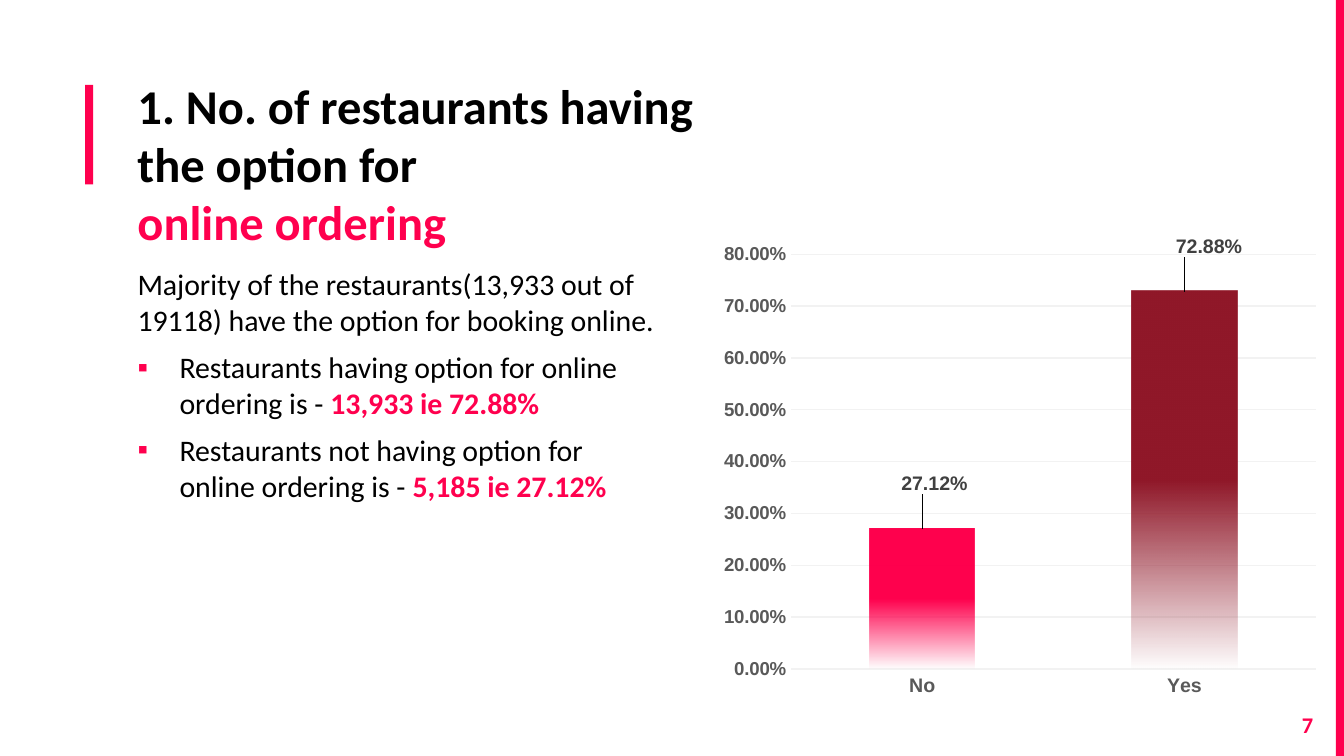
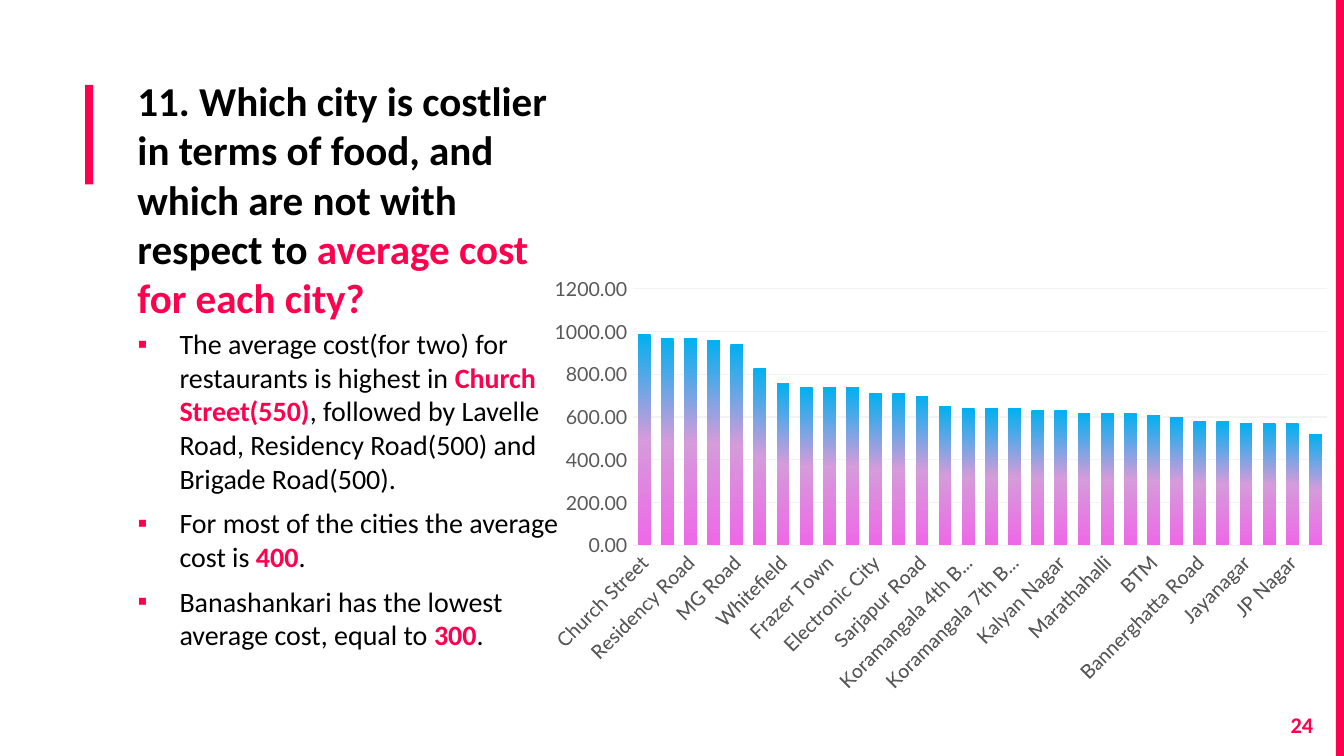
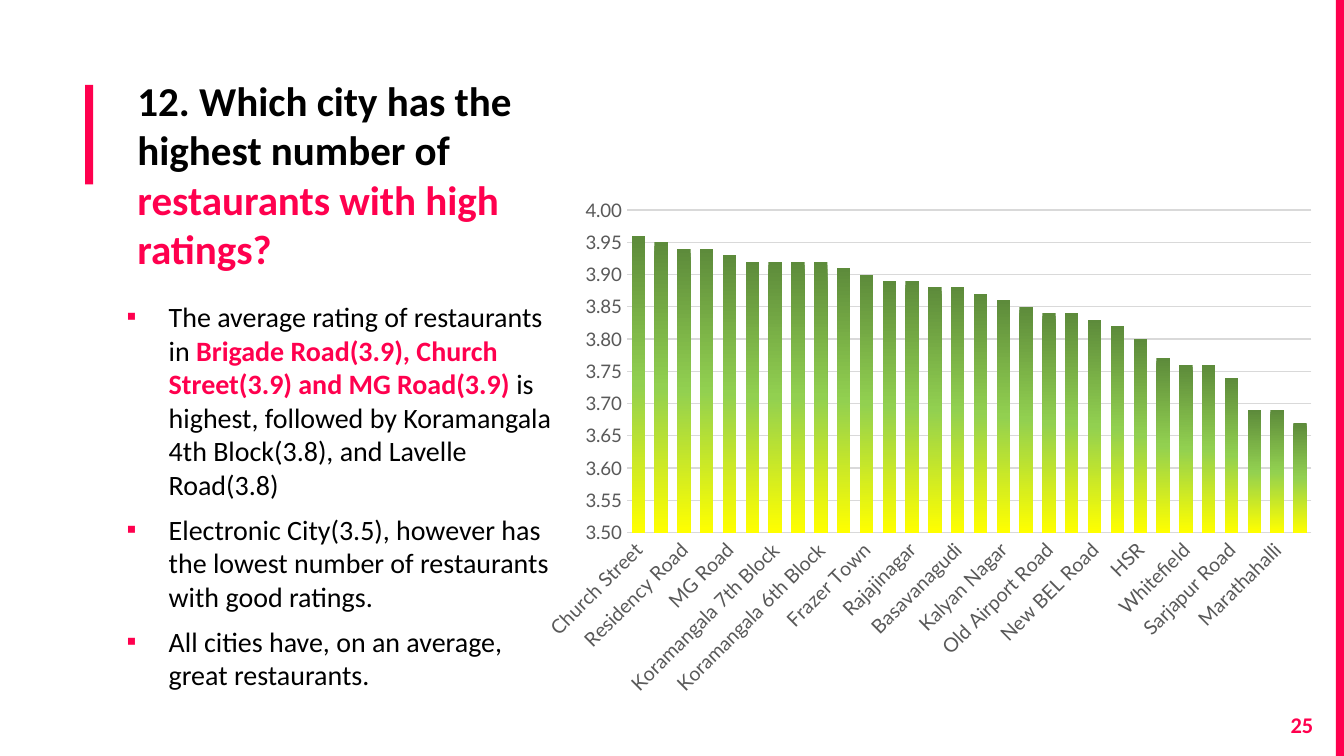
from lxml import etree
from pptx import Presentation
from pptx.chart.data import CategoryChartData
from pptx.dml.color import RGBColor
from pptx.enum.chart import XL_CHART_TYPE, XL_LABEL_POSITION, XL_TICK_MARK
from pptx.enum.shapes import MSO_SHAPE
from pptx.enum.text import MSO_ANCHOR, PP_ALIGN
from pptx.oxml.ns import qn
from pptx.util import Pt

COLUMNS = XL_CHART_TYPE.COLUMN_CLUSTERED
OUTSIDE = XL_LABEL_POSITION.OUTSIDE_END
NO_TICK = XL_TICK_MARK.NONE
RECTANGLE = MSO_SHAPE.RECTANGLE
TOP = MSO_ANCHOR.TOP
LEFT, RIGHT = PP_ALIGN.LEFT, PP_ALIGN.RIGHT

WIDTH, HEIGHT = 720, 405
ACCENT, INK, AXIS_GREY, LABEL_GREY = "FF004E", "000000", "595959", "404040"
FONT, BULLET_FONT = "Calibri", "Arial"
INSET = 7.2
BULLET_INDENT = 22.5
TITLE_BAR = (45.6, 45.5, 4.3, 53.3)
EDGE_BAND = (WIDTH - 4.3, 0, 4.3, HEIGHT)
NUMBER_BOX = (667.4, 373.7, 43.2, 31)
LEADER_URI = "{CE6537A1-D6FC-4f65-9D91-7224C49458BB}"
LEADER_SPACE = "http://schemas.microsoft.com/office/drawing/2012/chart"

SHARE_OPTIONS = dict(
    font="Arial", bold=True, gap=150, sizes=(10.5, 10), scale=(0, 0.8, 0.1),
    format="0.00%", grid="F2F2F2", plot_box=(42.2, 10.2, 281, 222.2),
    gradients=[[(50, ACCENT, 100), (100, ACCENT, 0)],
               [(50, "901829", 100), (100, "901829", 0)]],
    label_shifts=[(0.02, -0.06), (0.04, -0.06)])
COST_OPTIONS = dict(
    font="Lato", bold=False, gap=80, sizes=(10.5, 10.5), scale=(0, 1200, 200),
    format="0.00", grid="F3F3F3", rotation=-45, plot_box=(43.3, 5.2, 372.5, 138.2),
    gradients=[[(0, "00B0F0", 100), (50, "D59BDA", 100), (100, "EE68E8", 100)]])
RATING_OPTIONS = dict(
    font="Lato", bold=False, gap=70, sizes=(10.5, 10), scale=(3.5, 4, 0.05),
    format="0.00", grid="D9D9D9", rotation=-45,
    gradients=[[(0, "5D8B3B", 100), (50, "92D050", 100), (100, "FFFF00", 100)]])

SHARES = {"No": 0.2712, "Yes": 0.7288}
COSTS = {
    "Church Street": 990, "Lavelle Road": 970, "Residency Road": 970,
    "Brigade Road": 960, "MG Road": 940, "Indiranagar": 830, "Whitefield": 760,
    "Malleshwaram": 740, "Frazer Town": 740, "Old Airport Road": 740,
    "Electronic City": 710, "Bellandur": 710, "Sarjapur Road": 700,
    "Brookefield": 650, "Koramangala 4th Block": 640, "Rajajinagar": 640,
    "Koramangala 7th Block": 640, "Koramangala 5th Block": 630,
    "Kalyan Nagar": 630, "Koramangala 6th Block": 620, "Marathahalli": 620,
    "Kammanahalli": 620, "BTM": 610, "New BEL Road": 600,
    "Bannerghatta Road": 580, "HSR": 580, "Jayanagar": 570,
    "Basavanagudi": 570, "JP Nagar": 570, "Banashankari": 520}
RATINGS = {
    "Church Street": 3.96, "Brigade Road": 3.95, "Residency Road": 3.94,
    "Lavelle Road": 3.94, "MG Road": 3.93, "Koramangala 5th Block": 3.92,
    "Koramangala 7th Block": 3.92, "Koramangala 4th Block": 3.92,
    "Koramangala 6th Block": 3.92, "Malleshwaram": 3.91, "Frazer Town": 3.9,
    "BTM": 3.89, "Rajajinagar": 3.89, "Indiranagar": 3.88,
    "Basavanagudi": 3.88, "Jayanagar": 3.87, "Kalyan Nagar": 3.86,
    "Kammanahalli": 3.85, "Old Airport Road": 3.84, "Banashankari": 3.84,
    "New BEL Road": 3.83, "JP Nagar": 3.82, "HSR": 3.8, "Bellandur": 3.77,
    "Whitefield": 3.76, "Bannerghatta Road": 3.76, "Sarjapur Road": 3.74,
    "Electronic City": 3.69, "Marathahalli": 3.69, "Brookefield": 3.67}


def color(value):
    """Turn a hex string into a colour."""
    return RGBColor.from_string(value)


def points(box):
    """Turn a box of numbers into lengths in points."""
    return [Pt(number) for number in box]


def style_font(font, name, size, shade, bold=False):
    """Set name, size, colour and weight of a font."""
    font.name, font.size, font.bold = name, Pt(size), bold
    font.color.rgb = color(shade)


def add_band(page, box):
    """Draw a plain accent rectangle."""
    band = page.shapes.add_shape(RECTANGLE, *points(box))
    band.shadow.inherit = False
    band.fill.solid()
    band.fill.fore_color.rgb = color(ACCENT)
    band.line.fill.background()


def add_bullet(para):
    """Give a paragraph a hanging accent square."""
    props = para._p.get_or_add_pPr()
    props.set("marL", str(Pt(BULLET_INDENT)))
    props.set("indent", str(-Pt(BULLET_INDENT)))
    shade = etree.SubElement(props, qn("a:buClr"))
    etree.SubElement(shade, qn("a:srgbClr"), val=ACCENT)
    etree.SubElement(props, qn("a:buFont"), typeface=BULLET_FONT)
    etree.SubElement(props, qn("a:buChar"), char="▪")


def add_text(page, box, texts, size, shade=INK, bold=False, align=LEFT, plain=None):
    """Write paragraphs where bars enclose accent words; bullet those after plain."""
    frame = page.shapes.add_textbox(*points(box)).text_frame
    frame.word_wrap = True
    frame.vertical_anchor = TOP
    frame.margin_left = frame.margin_right = Pt(INSET)
    frame.margin_top = frame.margin_bottom = Pt(INSET)
    for index, text in enumerate(texts):
        para = frame.add_paragraph() if index else frame.paragraphs[0]
        para.alignment = align
        if index:
            para.space_before = Pt(6)
        if plain is not None and index >= plain:
            add_bullet(para)
        style_font(para.font, FONT, size, shade, bold)
        for order, words in enumerate(text.split("|")):
            if not words:
                continue
            span = para.add_run()
            span.text = words.rstrip("\n")
            if order % 2:
                span.font.bold = True
                span.font.color.rgb = color(ACCENT)
            if words.endswith("\n"):
                para.add_line_break()


def paint_columns(series, gradients):
    """Fill the series, or each point if there are several gradients."""
    targets = [series]
    if len(gradients) > 1:
        targets = [series.points[index] for index in range(len(gradients))]
    for target in targets:
        target.format.fill.gradient()
    for fill, stops in zip(series._element.iter(qn("a:gradFill")), gradients):
        for child in list(fill):
            fill.remove(child)
        stop_list = etree.SubElement(fill, qn("a:gsLst"))
        for position, shade, opacity in stops:
            stop = etree.SubElement(stop_list, qn("a:gs"), pos=str(position * 1000))
            tint = etree.SubElement(stop, qn("a:srgbClr"), val=shade)
            if opacity < 100:
                etree.SubElement(tint, qn("a:alpha"), val=str(opacity * 1000))
        etree.SubElement(fill, qn("a:lin"), ang="5400000", scaled="0")


def make_layout(**settings):
    """Build a manual chart layout from its settings."""
    layout = etree.Element(qn("c:layout"))
    manual = etree.SubElement(layout, qn("c:manualLayout"))
    for name, value in settings.items():
        etree.SubElement(manual, qn("c:" + name), val=str(value))
    return layout


def hide_leader_lines(labels):
    """Switch off the lines between columns and shifted labels."""
    extensions = etree.SubElement(labels, qn("c:extLst"))
    extension = etree.SubElement(extensions, qn("c:ext"), uri=LEADER_URI)
    tag = etree.QName(LEADER_SPACE, "showLeaderLines")
    etree.SubElement(extension, tag, nsmap={"c15": LEADER_SPACE}, val="0")


def add_labels(series, shifts, number_format):
    """Label the points and shift each label by a share of the chart."""
    labels = series.data_labels
    labels.show_value = True
    labels.number_format, labels.number_format_is_linked = number_format, False
    style_font(labels.font, "Arial", 10.5, LABEL_GREY, True)
    for index in range(len(shifts)):
        label = series.points[index].data_label
        style_font(label.font, "Arial", 10.5, LABEL_GREY, True)
        label.position = OUTSIDE
    for label, (across, down) in zip(series._element.iter(qn("c:dLbl")), shifts):
        label.insert(1, make_layout(x=across, y=down))
    hide_leader_lines(series._element.find(qn("c:dLbls")))


def place_plot(chart, box, plot_box):
    """Fix the inner plot area, given in points from the corner of the chart."""
    left, top, width, height = plot_box
    area = chart._chartSpace.find(".//" + qn("c:plotArea"))
    for old in area.findall(qn("c:layout")):
        area.remove(old)
    area.insert(0, make_layout(
        layoutTarget="inner", xMode="edge", yMode="edge",
        x=left / box[2], y=top / box[3], w=width / box[2], h=height / box[3]))


def add_columns(page, box, values, options):
    """Draw a column chart of the values in its box."""
    data = CategoryChartData(number_format=options["format"])
    data.categories = list(values)
    data.add_series("Series 1", list(values.values()))
    chart = page.shapes.add_chart(COLUMNS, *points(box), data).chart
    chart.has_legend = chart.has_title = False
    style_font(chart.font, "Arial", 10, INK)
    plot = chart.plots[0]
    plot.gap_width, plot.vary_by_categories = options["gap"], False
    for axis, size in zip((chart.category_axis, chart.value_axis), options["sizes"]):
        axis.major_tick_mark = axis.minor_tick_mark = NO_TICK
        axis.format.line.fill.background()
        style_font(axis.tick_labels.font, options["font"], size, AXIS_GREY, options["bold"])
    if "rotation" in options:
        body = chart.category_axis._element.find(".//" + qn("a:bodyPr"))
        body.set("rot", str(options["rotation"] * 60000))
    scale = chart.value_axis
    scale.minimum_scale, scale.maximum_scale, scale.major_unit = options["scale"]
    scale.tick_labels.number_format = options["format"]
    scale.tick_labels.number_format_is_linked = False
    scale.has_major_gridlines = True
    grid = scale.major_gridlines.format.line
    grid.width = Pt(0.75)
    grid.color.rgb = color(options["grid"])
    series = plot.series[0]
    paint_columns(series, options["gradients"])
    if "label_shifts" in options:
        add_labels(series, options["label_shifts"], options["format"])
    if "plot_box" in options:
        place_plot(chart, box, options["plot_box"])


def add_question(deck, number, title, title_width, title_size, body_box, body, body_size,
                 chart_box, values, options, plain=0):
    """Add a slide with a question, its findings and a chart."""
    page = deck.slides.add_slide(deck.slide_layouts[6])
    add_band(page, TITLE_BAR)
    add_band(page, EDGE_BAND)
    add_text(page, (66.6, 33.3, title_width, 67.7), [title], title_size, bold=True)
    add_text(page, body_box, body, body_size, plain=plain)
    add_columns(page, chart_box, values, options)
    add_text(page, NUMBER_BOX, [number], 12, ACCENT, True, RIGHT)


def main():
    """Build the three slides and save them."""
    deck = Presentation()
    deck.slide_width, deck.slide_height = Pt(WIDTH), Pt(HEIGHT)
    add_question(
        deck, "7", "1. No. of restaurants having the option for \n|online ordering|", 341.3, 26,
        (66.6, 135.4, 293.8, 247.7),
        ["Majority of the restaurants(13,933 out of 19118) have the option for booking online.",
         "Restaurants having option for online ordering is - |13,933 ie 72.88%|",
         "Restaurants not having option for online ordering is - |5,185 ie 27.12%|"],
        16, (381.6, 126, 329.8, 252.7), SHARES, SHARE_OPTIONS, plain=1)
    add_question(
        deck, "24", "11. Which city is costlier in terms of food, and which are not with "
        "respect to |average cost for each city?|", 254.2, 22,
        (66.6, 167.9, 245.5, 247.7),
        ["The average cost(for two) for restaurants is highest in |Church Street(550)|, "
         "followed by Lavelle Road, Residency Road(500) and Brigade Road(500).",
         "For most of the cities the average cost is |400|.",
         "Banashankari has the lowest average cost, equal to |300|."],
        15, (295.2, 148.3, 416.2, 225.4), COSTS, COST_OPTIONS)
    add_question(
        deck, "25", "12. Which city has the highest number of "
        "|restaurants with high ratings?|", 254.2, 22,
        (60.8, 153.3, 245.5, 247.7),
        ["The average rating of restaurants in |Brigade Road(3.9), Church Street(3.9) and "
         "MG Road(3.9)| is highest, followed by Koramangala 4th Block(3.8), and Lavelle "
         "Road(3.8)",
         "Electronic City(3.5), however has the lowest number of restaurants with good ratings.",
         "All cities have, on an average, great restaurants."],
        15, (283.4, 101, 427.7, 277.2), RATINGS, RATING_OPTIONS)
    deck.save("out.pptx")


if __name__ == "__main__":
    main()
